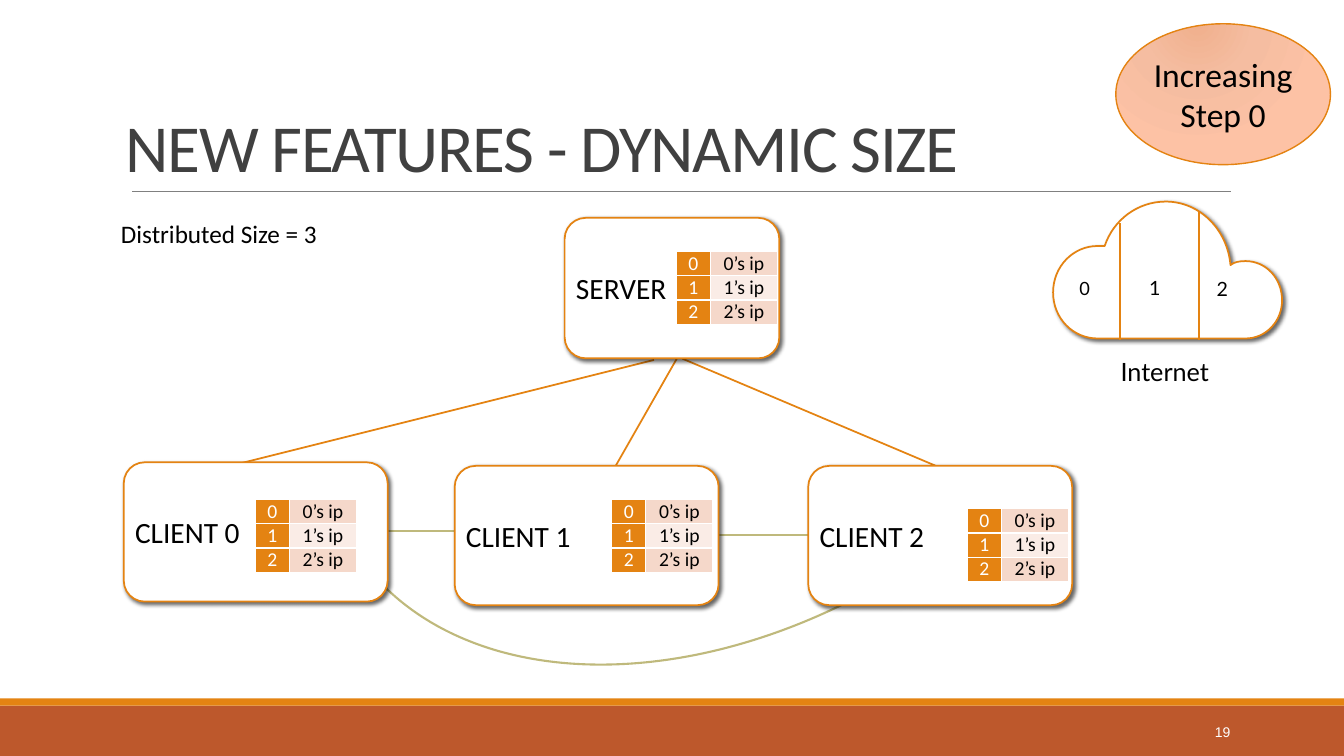
from lxml import etree
from pptx import Presentation
from pptx.dml.color import RGBColor
from pptx.enum.shapes import MSO_CONNECTOR, MSO_SHAPE
from pptx.enum.text import MSO_ANCHOR, PP_ALIGN
from pptx.oxml import parse_xml
from pptx.oxml.ns import qn
from pptx.util import Cm, Pt

LEFT, CENTER, RIGHT = PP_ALIGN.LEFT, PP_ALIGN.CENTER, PP_ALIGN.RIGHT
TOP, MIDDLE, BOTTOM = MSO_ANCHOR.TOP, MSO_ANCHOR.MIDDLE, MSO_ANCHOR.BOTTOM
STRAIGHT = MSO_CONNECTOR.STRAIGHT
RECTANGLE, ROUNDED = MSO_SHAPE.RECTANGLE, MSO_SHAPE.ROUNDED_RECTANGLE
OVAL, ARC = MSO_SHAPE.OVAL, MSO_SHAPE.ARC
NAMESPACE = 'xmlns:a="http://schemas.openxmlformats.org/drawingml/2006/main"'

ORANGE, RUST, OLIVE, GREY = "E48312", "BD582C", "BFB97C", "808080"
WHITE, BLACK, DARK = "FFFFFF", "000000", "404040"
BAND_COLORS = ("F5D8CA", "FAECE6")
INSET = Cm(0.13)


def color(hex_code):
    return RGBColor.from_string(hex_code)


# Shared helpers
def write(frame, text, size, font="Calibri", ink=BLACK, align=LEFT, anchor=MIDDLE, inset=INSET):
    frame.text = text
    frame.vertical_anchor = anchor
    frame.margin_left = frame.margin_right = inset
    frame.margin_top = frame.margin_bottom = inset
    for paragraph in frame.paragraphs:
        paragraph.alignment = align
        for run in paragraph.runs:
            run.font.size, run.font.name = Pt(size), font
            run.font.color.rgb = color(ink)


def add_label(slide, box, text, size, font="Calibri", ink=BLACK, align=LEFT, anchor=TOP):
    label = slide.shapes.add_textbox(*map(Cm, box))
    write(label.text_frame, text, size, font, ink, align, anchor)
    label.text_frame.word_wrap = False


def paint(shape, fill=None, line=None, width=1.25):
    shape.shadow.inherit = False
    if fill:
        shape.fill.solid()
        shape.fill.fore_color.rgb = color(fill)
    else:
        shape.fill.background()
    if line:
        shape.line.color.rgb = color(line)
        shape.line.width = Pt(width)
    else:
        shape.line.fill.background()


def add_shape(slide, kind, box, fill=None, line=None, width=1.25):
    shape = slide.shapes.add_shape(kind, *map(Cm, box))
    paint(shape, fill, line, width)
    return shape


def drop_shadow(shape):
    effects = shape._element.spPr.find(qn("a:effectLst"))
    effects.append(parse_xml(
        f'<a:outerShdw {NAMESPACE} blurRad="38100" dist="25400" dir="2700000" algn="br">'
        '<a:srgbClr val="000000"><a:alpha val="60000"/></a:srgbClr></a:outerShdw>'))


def add_line(slide, start, end, line=ORANGE, width=1.25):
    connector = slide.shapes.add_connector(STRAIGHT, *map(Cm, start + end))
    connector.line.color.rgb = color(line)
    connector.line.width = Pt(width)
    etree.SubElement(connector._element.spPr, qn("a:effectLst"))


# Title, rule and footer
def add_frame(slide, width, height):
    add_shape(slide, RECTANGLE, (0, height - 1.27, width, 1.27), RUST)
    add_shape(slide, RECTANGLE, (0, height - 1.45, width, 0.18), ORANGE)
    add_line(slide, (3.33, 4.83), (31.01, 4.83), GREY, 0.5)
    title = slide.shapes.title
    title.left, title.top, title.width, title.height = map(Cm, (3.03, 0.79, 27.94, 4.04))
    write(title.text_frame, "NEW FEATURES - DYNAMIC SIZE", 48, ink=DARK, anchor=BOTTOM)
    paragraph = title.text_frame.paragraphs[0]
    paragraph.line_spacing = 0.85
    paragraph.runs[0].font._element.set("spc", "-90")
    add_label(slide, (30.48, height - 0.92, 0.66, 0.64), "19", 10, "Arial", WHITE, RIGHT, MIDDLE)


# Links between the machines, drawn behind them
def add_links(slide):
    curve = add_shape(slide, ARC, (6.93, -0.86, 23.65, 16.28), line=OLIVE, width=1.5)
    curve.rotation = 145.7
    add_line(slide, (14.27, 13.49), (23.93, 13.49), OLIVE, 1.5)
    add_line(slide, (8.74, 13.39), (11.89, 13.39), OLIVE, 1.5)
    for client, server in (((5.92, 11.71), (16.48, 9.07)),
                           ((15.27, 12.17), (17.3, 8.61)),
                           ((24.84, 12.27), (17.2, 9.04))):
        add_line(slide, client, server)


# Address table held by every machine
def add_address_table(slide, left, top):
    column_widths, row_height = (0.85, 1.7), 0.61
    table = slide.shapes.add_table(3, 2, Cm(left), Cm(top), Cm(sum(column_widths)),
                                   Cm(3 * row_height)).table
    for column, width in zip(table.columns, column_widths):
        column.width = Cm(width)
    for index, row in enumerate(table.rows):
        row.height = Cm(row_height)
        styles = ((f"{index}", WHITE, ORANGE), (f"{index}’s ip", BLACK, BAND_COLORS[index % 2]))
        for cell, (text, ink, fill) in zip(row.cells, styles):
            properties = cell._tc.get_or_add_tcPr()
            for side in ("lnL", "lnR", "lnT", "lnB"):
                properties.append(parse_xml(
                    f'<a:{side} {NAMESPACE} w="12700"><a:solidFill>'
                    f'<a:srgbClr val="{WHITE}"/></a:solidFill></a:{side}>'))
            cell.fill.solid()
            cell.fill.fore_color.rgb = color(fill)
            write(cell.text_frame, text, 14, ink=ink, align=CENTER, anchor=TOP, inset=0)
            cell.margin_left = cell.margin_right = cell.margin_top = cell.margin_bottom = 0


def add_machine(slide, box, name, table_offset):
    machine = add_shape(slide, ROUNDED, box, WHITE, ORANGE)
    machine.adjustments[0] = 0.15
    drop_shadow(machine)
    write(machine.text_frame, name, 21)
    add_address_table(slide, box[0] + table_offset[0], box[1] + table_offset[1])


# Step badge
def add_badge(slide, box, text):
    badge = add_shape(slide, OVAL, box, WHITE, ORANGE, 1)
    stops = "".join(f'<a:gs pos="{position}"><a:srgbClr val="{shade}"/></a:gs>' for position, shade
                    in ((0, "F0B08D"), (45000, "F5BDA1"), (100000, "FDC2A5")))
    gradient = parse_xml(
        f'<a:gradFill {NAMESPACE} rotWithShape="1"><a:gsLst>{stops}</a:gsLst><a:path path="circle">'
        '<a:fillToRect l="38000" t="-20000" r="62000" b="120000"/></a:path></a:gradFill>')
    properties = badge._element.spPr
    properties.replace(properties.find(qn("a:solidFill")), gradient)
    write(badge.text_frame, text, 24, align=CENTER)


# Internet cloud, split into one part per client
def bend_segments(shape):
    """Turn every three straight segments into one cubic curve."""
    outline = next(shape._element.iter(qn("a:path")))
    segments = outline.findall(qn("a:lnTo"))
    for index in range(0, len(segments), 3):
        curve = etree.Element(qn("a:cubicBezTo"))
        segments[index].addprevious(curve)
        for segment in segments[index:index + 3]:
            curve.append(segment[0])
            outline.remove(segment)


def add_cloud(slide, left, top):
    crown = (2.84, 0)
    controls = ((2.13, 0), (1.52, 0.46), (1.3, 1.12),
                (1.24, 1.12), (1.17, 1.12), (1.12, 1.12),
                (0.51, 1.12), (0, 1.63), (0, 2.29),
                (0, 2.95), (0.51, 3.45), (1.12, 3.45),
                (1.12, 3.45), (4.85, 3.45), (4.85, 3.45),
                (5.36, 3.45), (5.77, 3.02), (5.77, 2.49),
                (5.77, 1.93), (5.36, 1.5), (4.85, 1.5),
                (4.7, 1.5), (4.57, 1.52), (4.47, 1.6),
                (4.39, 0.69), (3.68, 0), crown)
    start, *points = [(Cm(left + x), Cm(top + y)) for x, y in (crown, *controls)]
    builder = slide.shapes.build_freeform(*start)
    builder.add_line_segments(points, close=True)
    cloud = builder.convert_to_shape()
    bend_segments(cloud)
    paint(cloud, WHITE, ORANGE)
    drop_shadow(cloud)
    for x, y in ((1.68, 0.53), (3.68, 0.23)):
        add_line(slide, (left + x, top + 3.48), (left + x, top + y))
    for text, x, y, size in (("0", 0.53, 1.77, 13), ("1", 2.29, 1.75, 14), ("2", 3.99, 1.78, 14)):
        add_label(slide, (left + x, top + y, 0.56, 0.86), text, size, "Lato")
    add_label(slide, (left + 1.57, top + 3.78, 2.62, 1.04), "Internet", 18, "Lato")


presentation = Presentation()
presentation.slide_width, presentation.slide_height = Cm(33.87), Cm(19.05)
slide = presentation.slides.add_slide(presentation.slide_layouts[5])
add_frame(slide, 33.87, 19.05)
add_links(slide)
add_machine(slide, (14.23, 5.49, 5.41, 3.54), "SERVER", (2.82, 0.85))
for number, (left, top, offset) in enumerate(((3.12, 11.65, (3.32, 0.94)),
                                              (11.46, 11.74, (3.96, 0.85)),
                                              (20.37, 11.74, (4.01, 1.08)))):
    add_machine(slide, (left, top, 6.65, 3.51), f"CLIENT {number}", offset)
add_label(slide, (2.92, 5.38, 5.82, 0.99), "Distributed Size = 3", 18)
add_badge(slide, (28.12, 0.6, 5.41, 3.55), "Increasing\nStep 0")
add_cloud(slide, 26.54, 5.08)
presentation.save("out.pptx")
